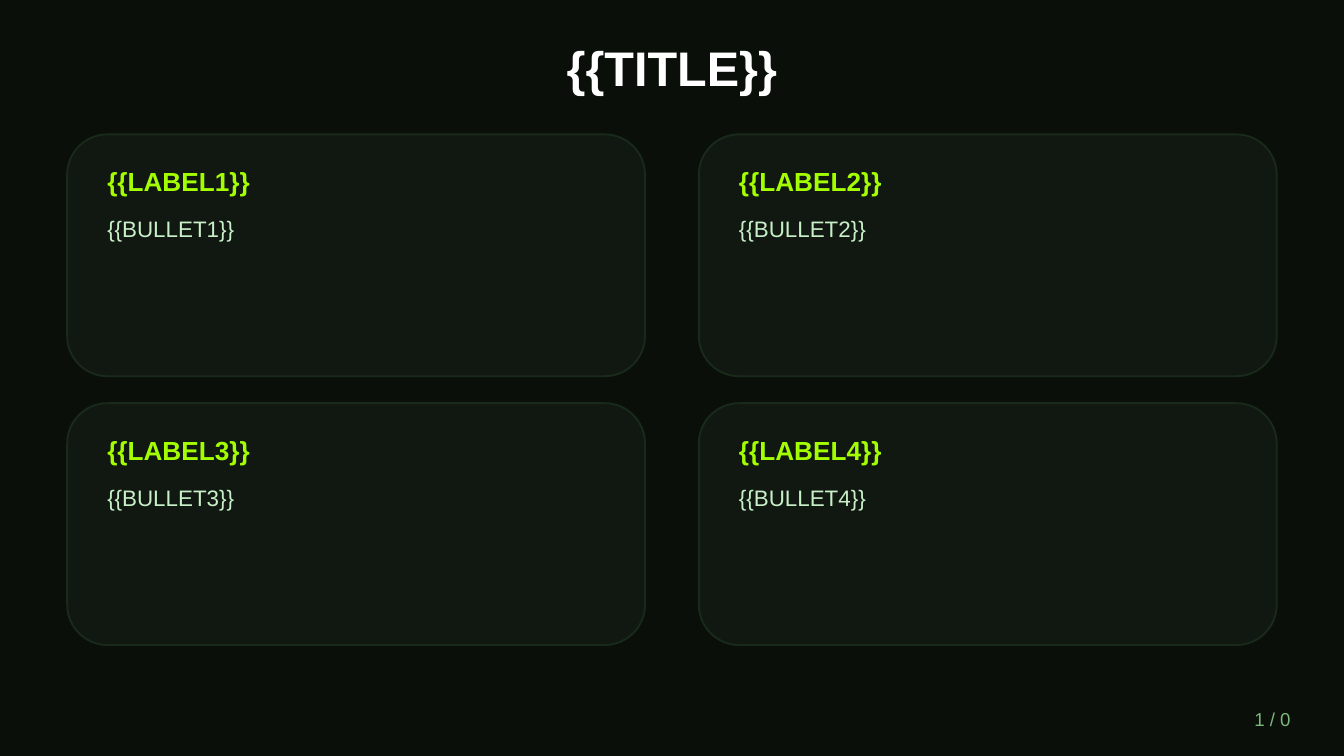
"""Build a dark slide with a title, a two-by-two grid of labelled cards and a page number."""
import pptx
import pptx.dml.color
import pptx.enum.shapes
import pptx.enum.text
import pptx.oxml.ns
import pptx.util
from lxml import etree

PX = 11430
ANCHOR = pptx.enum.text.MSO_ANCHOR
ALIGN = pptx.enum.text.PP_ALIGN


def rgb(value):
    return pptx.dml.color.RGBColor.from_string(value)


def add_text(s, text, box, color, font, align=ALIGN.LEFT, anchor=ANCHOR.MIDDLE):
    tf = s.shapes.add_textbox(*[v * PX for v in box]).text_frame
    tf.word_wrap = True
    tf.vertical_anchor = anchor
    p = tf.paragraphs[0]
    p.alignment = align
    r = p.add_run()
    r.text = text
    for name, value in {"name": "Arial", **font}.items():
        setattr(r.font, name, value)
    r.font.color.rgb = rgb(color)


title_font = {"size": pptx.util.Pt(26), "bold": True}
label_font = {"size": pptx.util.Pt(14), "bold": True}
bullet_font = {"size": pptx.util.Pt(12)}
page_font = {"size": pptx.util.Pt(10)}

prs = pptx.Presentation()
prs.slide_width, prs.slide_height = 800 * PX, 450 * PX
s = prs.slides.add_slide(prs.slide_layouts[6])
s.background.fill.solid()
s.background.fill.fore_color.rgb = rgb("0A0F0A")

add_text(s, "{{TITLE}}", (40, 16, 720, 48), "FFFFFF", title_font, ALIGN.CENTER)

for i in range(4):
    row, col = divmod(i, 2)
    x, y = 40 + col * 376, 80 + row * 160
    sp = s.shapes.add_shape(pptx.enum.shapes.MSO_SHAPE.ROUNDED_RECTANGLE,
                            x * PX, y * PX, 344 * PX, 144 * PX)
    sp.shadow.inherit = False
    sp.fill.solid()
    sp.fill.fore_color.rgb = rgb("121A12")
    clr = sp.fill._xPr.find(".//" + pptx.oxml.ns.qn("a:srgbClr"))
    etree.SubElement(clr, pptx.oxml.ns.qn("a:alpha"), val="90000")
    sp.line.color.rgb = rgb("1A2A1A")
    sp.line.width = pptx.util.Pt(1)
    add_text(s, f"{{{{LABEL{i + 1}}}}}", (x + 16, y + 12, 312, 32), "A3FF00", label_font)
    add_text(s, f"{{{{BULLET{i + 1}}}}}", (x + 16, y + 44, 312, 80), "C8F0C8", bullet_font,
             anchor=ANCHOR.TOP)

add_text(s, "1 / 0", (680, 416, 96, 24), "7CB87C", page_font, ALIGN.RIGHT)

prs.save("out.pptx")
